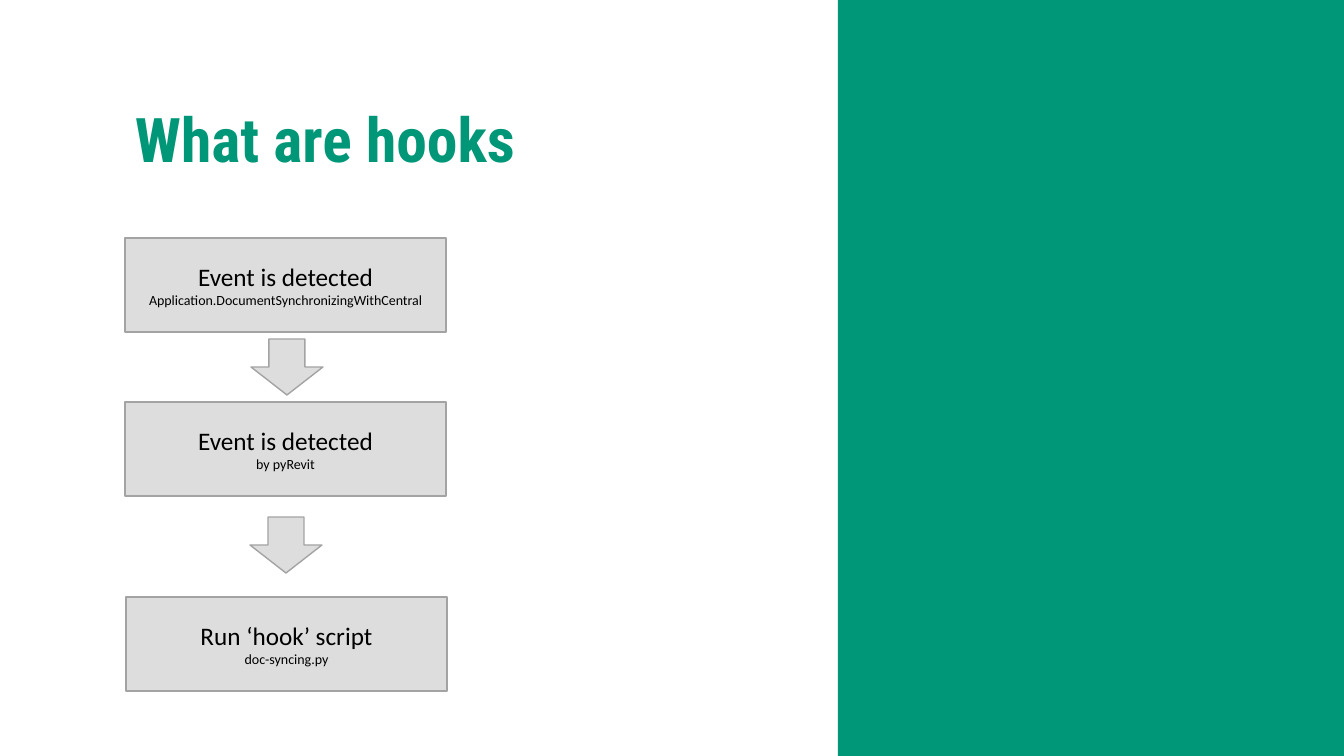
from dataclasses import dataclass

import pptx
import pptx.dml.color
import pptx.enum.shapes
import pptx.enum.text
import pptx.util

EMU_PER_PX = 914400 / 100.8
SLIDE_WIDTH, SLIDE_HEIGHT = 1344, 756
PANEL_LEFT = 838
BOX_WIDTH, BOX_HEIGHT = 321, 94
ARROW_WIDTH, ARROW_HEIGHT = 72, 56

GREEN = pptx.dml.color.RGBColor(0x00, 0x96, 0x78)
LIGHT_GREY = pptx.dml.color.RGBColor(0xDD, 0xDD, 0xDD)
MID_GREY = pptx.dml.color.RGBColor(0xA3, 0xA3, 0xA3)
BLACK = pptx.dml.color.RGBColor(0x00, 0x00, 0x00)

RECTANGLE = pptx.enum.shapes.MSO_SHAPE.RECTANGLE
DOWN_ARROW = pptx.enum.shapes.MSO_SHAPE.DOWN_ARROW
MIDDLE = pptx.enum.text.MSO_ANCHOR.MIDDLE
CENTER = pptx.enum.text.PP_ALIGN.CENTER

TITLE_FONT = {"name": "Roboto Condensed", "size": pptx.util.Pt(44), "bold": True}
HEADING_FONT = {"name": "Calibri", "size": pptx.util.Pt(18)}
DETAIL_FONT = {"name": "Calibri", "size": pptx.util.Pt(10)}
TITLE_SPACING = {"line_spacing": 0.9, "space_after": pptx.util.Pt(6)}
FRAME_FORMAT = {"word_wrap": True, "vertical_anchor": MIDDLE}


@dataclass(frozen=True)
class Step:
    left: int
    top: int
    heading: str
    detail: str


@dataclass(frozen=True)
class Arrow:
    left: int
    top: int


STEPS = [
    Step(125, 238, "Event is detected", "Application.DocumentSynchronizingWithCentral"),
    Step(125, 402, "Event is detected", "by pyRevit"),
    Step(126, 597, "Run ‘hook’ script", "doc-syncing.py"),
]
ARROWS = [Arrow(251, 339), Arrow(250, 517)]


def px(length: int) -> pptx.util.Emu:
    return pptx.util.Emu(round(length * EMU_PER_PX))


def apply_format(target, values: dict) -> None:
    for name, value in values.items():
        setattr(target, name, value)


def write(paragraph, text: str, font: dict, color: pptx.dml.color.RGBColor) -> None:
    run = paragraph.add_run()
    run.text = text
    apply_format(run.font, font)
    run.font.color.rgb = color


def add_filled(slide, kind, left: int, top: int, width: int, height: int,
               fill: pptx.dml.color.RGBColor, outlined: bool = True):
    shape = slide.shapes.add_shape(kind, px(left), px(top), px(width), px(height))
    shape.shadow.inherit = False
    shape.fill.solid()
    shape.fill.fore_color.rgb = fill
    if outlined:
        shape.line.color.rgb = MID_GREY
        shape.line.width = pptx.util.Pt(1)
    else:
        shape.line.fill.background()
    return shape


def add_title(slide, text: str) -> None:
    box = slide.shapes.add_textbox(px(125), px(70), px(824), px(146))
    apply_format(box.text_frame, FRAME_FORMAT)
    paragraph = box.text_frame.paragraphs[0]
    apply_format(paragraph, TITLE_SPACING)
    write(paragraph, text, TITLE_FONT, GREEN)


def add_step(slide, step: Step) -> None:
    shape = add_filled(slide, RECTANGLE, step.left, step.top, BOX_WIDTH, BOX_HEIGHT, LIGHT_GREY)
    frame = shape.text_frame
    apply_format(frame, FRAME_FORMAT)
    heading, detail = frame.paragraphs[0], frame.add_paragraph()
    write(heading, step.heading, HEADING_FONT, BLACK)
    write(detail, step.detail, DETAIL_FONT, BLACK)
    for paragraph in frame.paragraphs:
        paragraph.alignment = CENTER


def main() -> None:
    presentation = pptx.Presentation()
    presentation.slide_width = px(SLIDE_WIDTH)
    presentation.slide_height = px(SLIDE_HEIGHT)
    slide = presentation.slides.add_slide(presentation.slide_layouts[6])
    add_title(slide, "What are hooks")
    add_filled(slide, RECTANGLE, PANEL_LEFT, 0, SLIDE_WIDTH - PANEL_LEFT, SLIDE_HEIGHT,
               GREEN, outlined=False)
    for step in STEPS:
        add_step(slide, step)
    for arrow in ARROWS:
        add_filled(slide, DOWN_ARROW, arrow.left, arrow.top, ARROW_WIDTH, ARROW_HEIGHT, LIGHT_GREY)
    presentation.save("out.pptx")


if __name__ == "__main__":
    main()
